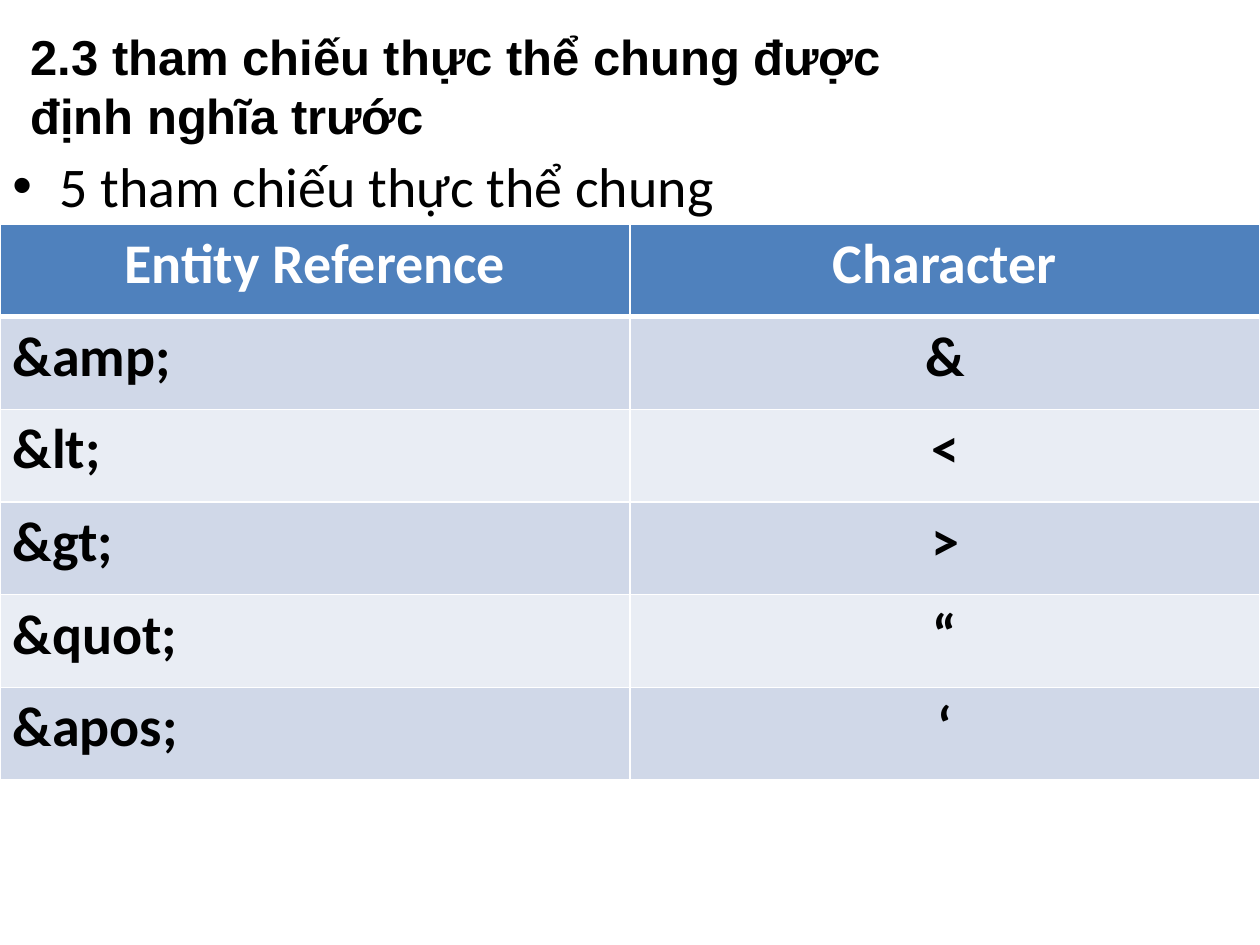
from lxml.etree import SubElement
from pptx import Presentation
from pptx.dml.color import RGBColor
from pptx.enum.text import MSO_AUTO_SIZE, PP_ALIGN
from pptx.oxml.ns import qn
from pptx.util import Emu, Pt

EMU_PER_PX = 914400 / 126

TITLE_LINES = ["2.3 tham chiếu thực thể chung được", "định nghĩa trước"]
BULLET_LINE = "5 tham chiếu thực thể chung"
HEADER = ("Entity Reference", "Character")
ENTITIES = [
    ("&amp;", "&"),
    ("&lt;", "<"),
    ("&gt;", ">"),
    ("&quot;", "“"),
    ("&apos;", "‘"),
]

TITLE_FONT = {"name": "Arial", "size": Pt(28), "bold": True}
BULLET_FONT = {"name": "Calibri", "size": Pt(32), "bold": False}
TABLE_FONT = {"name": "Calibri", "size": Pt(32), "bold": True}

BLACK, WHITE = "000000", "FFFFFF"
HEADER_FILL = "4F81BD"
BAND_FILLS = ("D0D8E8", "E9EDF4")


def px(length):
    return Emu(round(length * EMU_PER_PX))


def color(hex_string):
    return RGBColor.from_string(hex_string)


def write(paragraph, text, font_format, font_color):
    run = paragraph.add_run()
    run.text = text
    for attribute, value in font_format.items():
        setattr(run.font, attribute, value)
    run.font.color.rgb = color(font_color)


def add_text_frame(slide, left, top, width, height, wrap):
    frame = slide.shapes.add_textbox(*map(px, (left, top, width, height))).text_frame
    frame.word_wrap = wrap
    return frame


def add_title(slide):
    frame = add_text_frame(slide, 18, 20, 900, 131, wrap=False)
    frame.auto_size = MSO_AUTO_SIZE.SHAPE_TO_FIT_TEXT
    for index, line in enumerate(TITLE_LINES):
        paragraph = frame.add_paragraph() if index else frame.paragraphs[0]
        write(paragraph, line, TITLE_FONT, BLACK)


def add_bullet(slide):
    paragraph = add_text_frame(slide, 0, 145, 1260, 717, wrap=True).paragraphs[0]
    paragraph.space_before = Pt(6.4)
    write(paragraph, BULLET_LINE, BULLET_FONT, BLACK)
    # Hanging indent and bullet sign
    properties = paragraph._p.get_or_add_pPr()
    properties.set("marL", str(px(47)))
    properties.set("indent", str(-px(47)))
    SubElement(properties, qn("a:buFont"), typeface="Arial")
    SubElement(properties, qn("a:buChar"), char="•")


def add_borders(cell, bottom_width):
    properties = cell._tc.get_or_add_tcPr()
    widths = {"a:lnL": 1, "a:lnR": 1, "a:lnT": 1, "a:lnB": bottom_width}
    for tag, width in widths.items():
        line = SubElement(properties, qn(tag), w=str(Pt(width)))
        fill = SubElement(line, qn("a:solidFill"))
        SubElement(fill, qn("a:srgbClr"), val=WHITE)


def fill_cell(cell, text, fill, font_color, align, bottom_width):
    add_borders(cell, bottom_width)
    cell.fill.solid()
    cell.fill.fore_color.rgb = color(fill)
    paragraph = cell.text_frame.paragraphs[0]
    paragraph.alignment = align
    write(paragraph, text, TABLE_FONT, font_color)


def add_entity_table(slide):
    rows = [HEADER, *ENTITIES]
    table = slide.shapes.add_table(
        len(rows), len(HEADER), px(0), px(224), px(1260), px(556)
    ).table
    for row, texts in enumerate(rows):
        is_header = row == 0
        fill = HEADER_FILL if is_header else BAND_FILLS[(row - 1) % 2]
        for column, text in enumerate(texts):
            centred = is_header or column == 1
            fill_cell(
                table.cell(row, column),
                text,
                fill,
                font_color=WHITE if is_header else BLACK,
                align=PP_ALIGN.CENTER if centred else PP_ALIGN.LEFT,
                bottom_width=3 if is_header else 1,
            )


def main():
    presentation = Presentation()
    presentation.slide_width, presentation.slide_height = px(1260), px(945)
    slide = presentation.slides.add_slide(presentation.slide_layouts[6])
    add_title(slide)
    add_bullet(slide)
    add_entity_table(slide)
    presentation.save("out.pptx")


if __name__ == "__main__":
    main()
